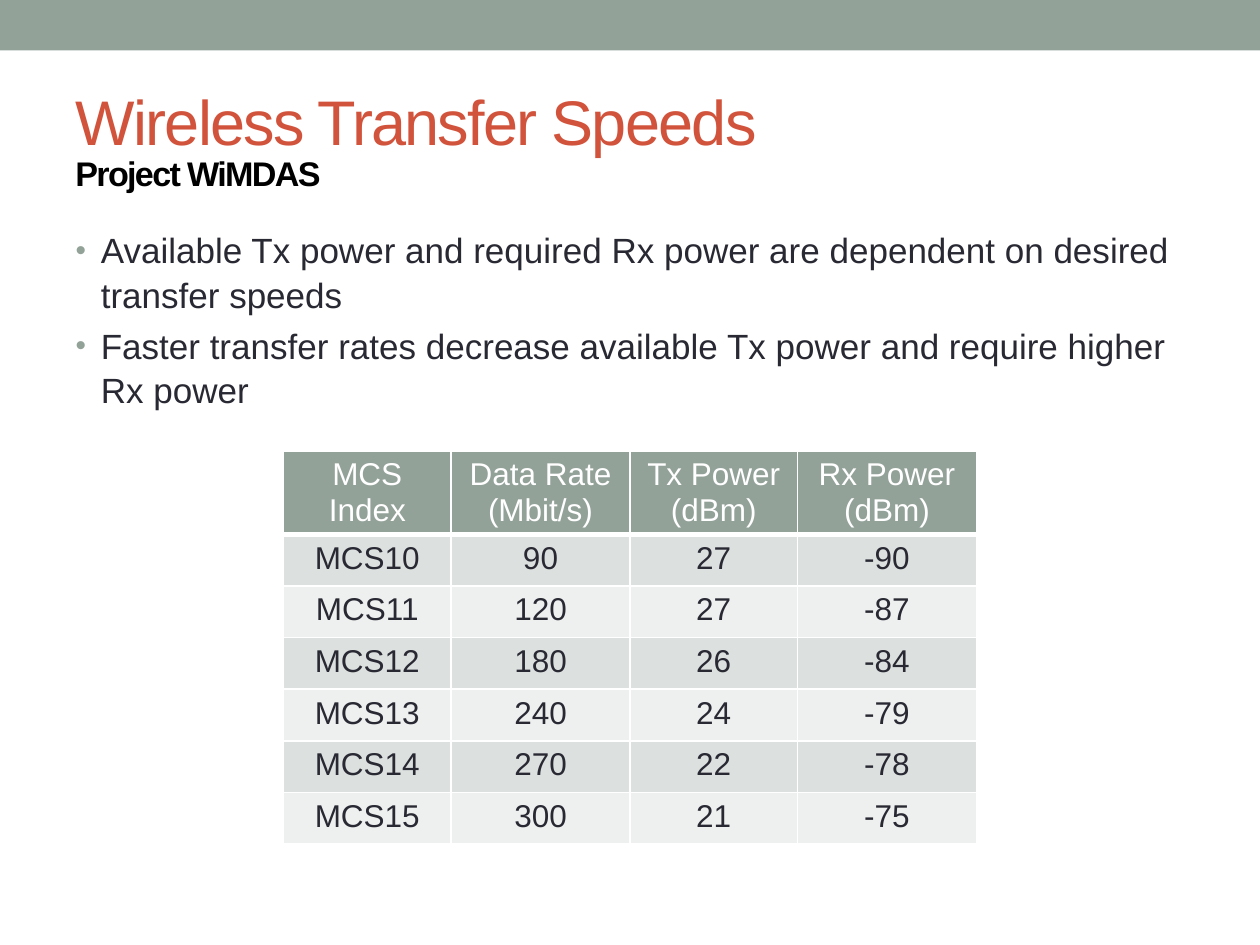
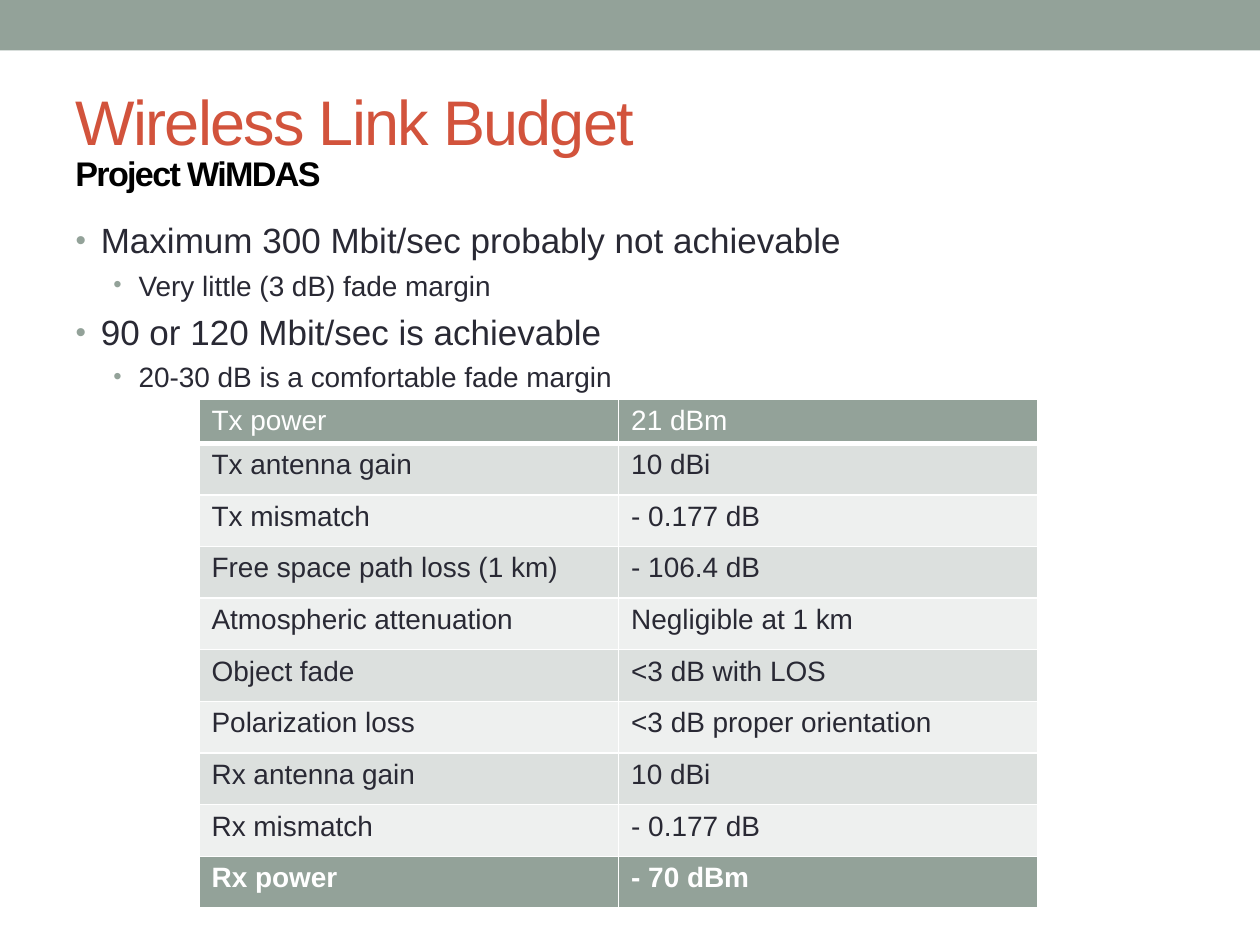
from dataclasses import dataclass

from lxml.etree import SubElement
from pptx import Presentation
from pptx.dml.color import RGBColor
from pptx.enum.shapes import MSO_SHAPE
from pptx.enum.text import MSO_ANCHOR as Anchor, MSO_AUTO_SIZE as AutoSize, PP_ALIGN as Align
from pptx.oxml.ns import qn
from pptx.util import Inches, Pt


@dataclass(frozen=True)
class Theme:
    font: str = "Arial"
    sage: str = "93A299"
    rust: str = "D2533C"
    ink: str = "292934"
    black: str = "000000"
    white: str = "FFFFFF"
    stripes: tuple[str, str] = ("DCE0DE", "EEF0EF")
    title_size: float = 36
    subtitle_size: float = 19.5
    level_sizes: tuple[float, float] = (20, 16)
    level_indents: tuple[float, float] = (0.2, 0.5)
    bullet_hang: float = 0.2
    line_spacing: float = 1.05
    left: float = 0.5
    width: float = 9


@dataclass(frozen=True)
class Bullet:
    text: str
    level: int = 0


@dataclass(frozen=True)
class TableContent:
    left: float
    top: float
    column_widths: tuple[float, ...]
    header_height: float
    rows: tuple[tuple[str, ...], ...]
    size: float
    align: Align
    total_row: bool = False
    row_height: float = 0.41


@dataclass(frozen=True)
class SlideContent:
    title: str
    body_top: float
    bullets: tuple[Bullet, ...]
    table: TableContent


THEME = Theme()
SUBTITLE = "Project WiMDAS"

SLIDES = (
    SlideContent(
        "Wireless Transfer Speeds",
        1.75,
        (
            Bullet("Available Tx power and required Rx power are dependent on desired transfer speeds"),
            Bullet("Faster transfer rates decrease available Tx power and require higher Rx power"),
        ),
        TableContent(
            2.25, 3.58, (1.33, 1.42, 1.33, 1.42), 0.65,
            (
                ("MCS Index", "Data Rate (Mbit/s)", "Tx Power (dBm)", "Rx Power (dBm)"),
                ("MCS10", "90", "27", "-90"),
                ("MCS11", "120", "27", "-87"),
                ("MCS12", "180", "26", "-84"),
                ("MCS13", "240", "24", "-79"),
                ("MCS14", "270", "22", "-78"),
                ("MCS15", "300", "21", "-75"),
            ),
            18, Align.CENTER,
        ),
    ),
    SlideContent(
        "Wireless Link Budget",
        1.67,
        (
            Bullet("Maximum 300 Mbit/sec probably not achievable"),
            Bullet("Very little (3 dB) fade margin", 1),
            Bullet("90 or 120 Mbit/sec is achievable"),
            Bullet("20-30 dB is a comfortable fade margin", 1),
        ),
        TableContent(
            1.58, 3.17, (3.33, 3.33), 0.34,
            (
                ("Tx power", "21 dBm"),
                ("Tx antenna gain", "10 dBi"),
                ("Tx mismatch", "- 0.177 dB"),
                ("Free space path loss (1 km)", "- 106.4 dB"),
                ("Atmospheric attenuation", "Negligible at 1 km"),
                ("Object fade", "<3 dB with LOS"),
                ("Polarization loss", "<3 dB proper orientation"),
                ("Rx antenna gain", "10 dBi"),
                ("Rx mismatch", "- 0.177 dB"),
                ("Rx power", "- 70 dBm"),
            ),
            16, Align.LEFT, total_row=True,
        ),
    ),
)


def format_runs(paragraph, size: float, color: str, bold: bool = False, tracking: float = 0) -> None:
    for run in paragraph.runs:
        run.font.name = THEME.font
        run.font.size = Pt(size)
        run.font.bold = bold
        run.font.color.rgb = RGBColor.from_string(color)
        if tracking:
            run.font._element.set("spc", str(int(tracking * 100)))


def place(shape, top: float, height: float) -> None:
    shape.left, shape.top = Inches(THEME.left), Inches(top)
    shape.width, shape.height = Inches(THEME.width), Inches(height)


def draw_band(slide) -> None:
    band = slide.shapes.add_shape(MSO_SHAPE.RECTANGLE, 0, 0, Inches(10), Inches(0.4))
    band.shadow.inherit = False
    band.fill.solid()
    band.fill.fore_color.rgb = RGBColor.from_string(THEME.sage)
    band.line.fill.background()


def draw_heading(shape, text: str, top: float, size: float, color: str, bold: bool = False) -> None:
    place(shape, top, 0.75)
    text_frame = shape.text_frame
    text_frame.text = text
    text_frame.word_wrap = True
    text_frame.auto_size = AutoSize.NONE
    text_frame.vertical_anchor = Anchor.MIDDLE
    paragraph = text_frame.paragraphs[0]
    paragraph.alignment = Align.LEFT
    format_runs(paragraph, size, color, bold, tracking=-1)


def set_bullet(paragraph, level: int) -> None:
    properties = paragraph._p.get_or_add_pPr()
    properties.set("marL", str(Inches(THEME.level_indents[level])))
    properties.set("indent", str(-Inches(THEME.bullet_hang)))
    bullet_color = SubElement(properties, qn("a:buClr"))
    SubElement(bullet_color, qn("a:srgbClr"), val=THEME.sage)
    SubElement(properties, qn("a:buSzPct"), val="85000")
    SubElement(properties, qn("a:buFont"), typeface=THEME.font)
    SubElement(properties, qn("a:buChar"), char="•")


def draw_bullets(shape, bullets: tuple[Bullet, ...], top: float) -> None:
    place(shape, top, 5.33)
    text_frame = shape.text_frame
    text_frame.text = "\n".join(bullet.text for bullet in bullets)
    text_frame.auto_size = AutoSize.NONE
    for paragraph, bullet in zip(text_frame.paragraphs, bullets):
        size = THEME.level_sizes[bullet.level]
        paragraph.level = bullet.level
        paragraph.line_spacing = THEME.line_spacing
        paragraph.space_before = Pt(size * 0.2)
        set_bullet(paragraph, bullet.level)
        format_runs(paragraph, size, THEME.ink)


def set_borders(cell, bottom_width: float) -> None:
    properties = cell._tc.get_or_add_tcPr()
    for side, width in (("L", 1), ("R", 1), ("T", 1), ("B", bottom_width)):
        line = SubElement(properties, qn(f"a:ln{side}"), w=str(Pt(width)))
        fill = SubElement(line, qn("a:solidFill"))
        SubElement(fill, qn("a:srgbClr"), val=THEME.white)


def draw_table(slide, content: TableContent) -> None:
    last = len(content.rows) - 1
    heights = [content.header_height] + [content.row_height] * last
    table = slide.shapes.add_table(
        len(heights), len(content.column_widths), Inches(content.left), Inches(content.top),
        Inches(sum(content.column_widths)), Inches(sum(heights)),
    ).table
    for column, width in zip(table.columns, content.column_widths):
        column.width = Inches(width)
    for index, (row, height, texts) in enumerate(zip(table.rows, heights, content.rows)):
        row.height = Inches(height)
        is_header = index == 0
        is_total = content.total_row and index == last
        accented = is_header or is_total
        fill = THEME.sage if accented else THEME.stripes[(index - 1) % 2]
        for cell, text in zip(row.cells, texts):
            set_borders(cell, 3 if is_header else 1)
            cell.fill.solid()
            cell.fill.fore_color.rgb = RGBColor.from_string(fill)
            cell.text_frame.text = text
            paragraph = cell.text_frame.paragraphs[0]
            paragraph.alignment = content.align
            format_runs(paragraph, content.size, THEME.white if accented else THEME.ink, is_total)


def build_slide(presentation, content: SlideContent) -> None:
    slide = presentation.slides.add_slide(presentation.slide_layouts[1])
    draw_band(slide)
    draw_heading(slide.shapes.title, content.title, 0.58, THEME.title_size, THEME.rust)
    draw_bullets(slide.placeholders[1], content.bullets, content.body_top)
    subtitle = slide.shapes.add_textbox(0, 0, 0, 0)
    draw_heading(subtitle, SUBTITLE, 1, THEME.subtitle_size, THEME.black, bold=True)
    draw_table(slide, content.table)


presentation = Presentation()
presentation.slide_width, presentation.slide_height = Inches(10), Inches(7.5)
for slide_content in SLIDES:
    build_slide(presentation, slide_content)
presentation.save("out.pptx")
